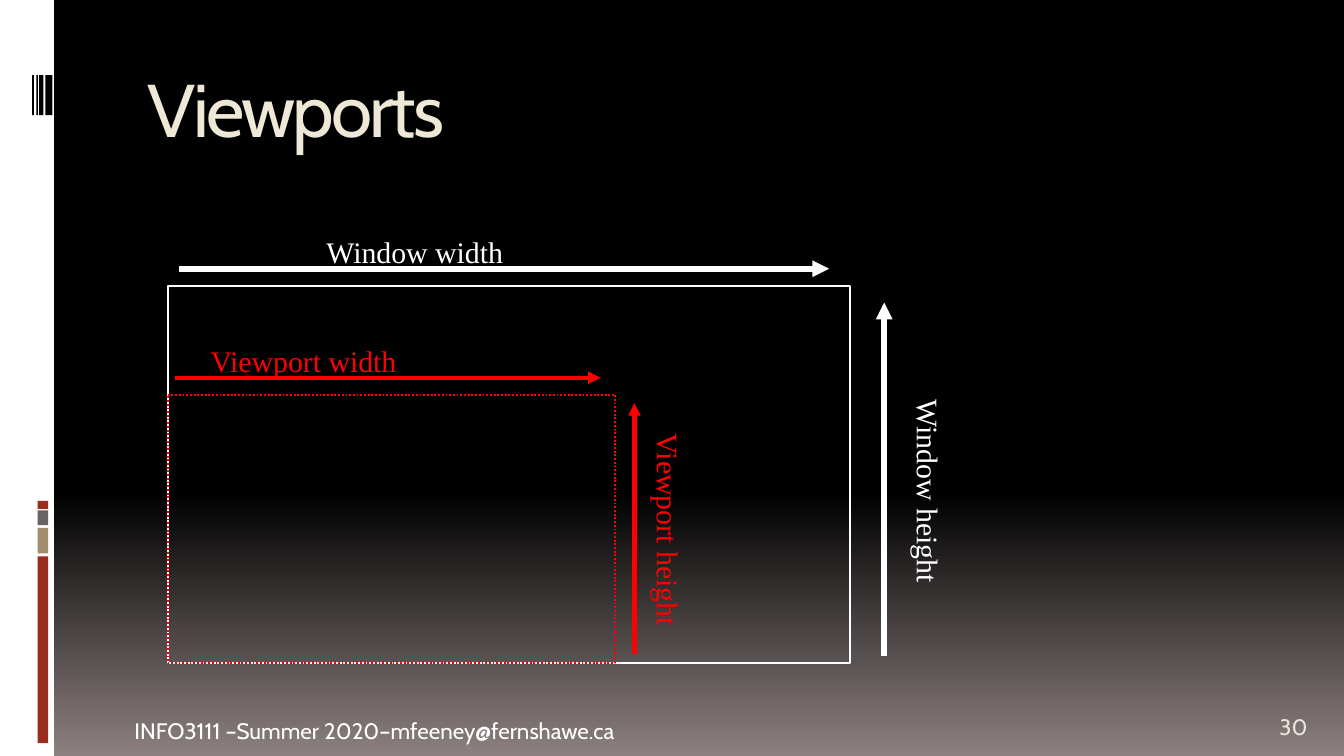
from copy import deepcopy

from pptx import Presentation
from pptx.dml.color import RGBColor
from pptx.enum import dml, shapes, text
from pptx.oxml import ns, xmlchemy
from pptx.util import Cm, Pt

BLACK = RGBColor(0x00, 0x00, 0x00)
WHITE = RGBColor(0xFF, 0xFF, 0xFF)
RED = RGBColor(0xFF, 0x00, 0x00)
TAUPE = RGBColor(0x8C, 0x80, 0x80)
RUST = RGBColor(0x9B, 0x2D, 0x1F)
SAND = RGBColor(0xA2, 0x8E, 0x6A)
GREY = RGBColor(0x69, 0x64, 0x64)
CREAM = RGBColor(0xEF, 0xE8, 0xD6)
PALE = RGBColor(0xE9, 0xE5, 0xDC)

SANS, SERIF = "Cabin", "Times New Roman"
WIDTH, HEIGHT = 25.4, 14.29


def set_attrs(obj, formats):
    for name, value in formats.items():
        setattr(obj, name, value)


def set_background(s):
    fill = s.background.fill
    fill.gradient()
    fill.gradient_angle = 270
    for stop, color in zip(fill.gradient_stops, (BLACK, TAUPE)):
        stop.color.rgb = color
    stops = s.element.find(".//" + ns.qn("a:gsLst"))
    middle = deepcopy(stops[0])
    middle.set("pos", "65000")
    stops.insert(1, middle)


def add_rect(s, box, fill=None, line=None, dash=None):
    sp = s.shapes.add_shape(shapes.MSO_SHAPE.RECTANGLE, *map(Cm, box))
    sp.shadow.inherit = False
    if fill is None:
        sp.fill.background()
    else:
        sp.fill.solid()
        sp.fill.fore_color.rgb = fill
    if line is None:
        sp.line.fill.background()
    else:
        sp.line.color.rgb = line
        set_attrs(sp.line, {"width": Pt(1), "dash_style": dash})


def write(sp, words, font, size, color, **frame):
    tf = sp.text_frame
    set_attrs(tf, frame)
    p = tf.paragraphs[0]
    p.alignment = text.PP_ALIGN.LEFT
    r = p.add_run()
    r.text = words
    set_attrs(r.font, {"name": font, "size": Pt(size)})
    r.font.color.rgb = color
    return r


def add_text(parent, words, box, font, size, color, rotation=0, **frame):
    sp = parent.shapes.add_textbox(*map(Cm, box))
    sp.rotation = rotation
    write(sp, words, font, size, color, **frame)


def add_arrow(parent, start, end, color, width):
    sp = parent.shapes.add_connector(
        shapes.MSO_CONNECTOR.STRAIGHT, *map(Cm, start + end))
    sp.line.color.rgb = color
    sp.line.width = Pt(width)
    line = sp.line._get_or_add_ln()
    line.append(xmlchemy.OxmlElement("a:tailEnd"))
    line[-1].set("type", "triangle")
    line.getparent().append(xmlchemy.OxmlElement("a:effectLst"))


def add_dimensions(s, name, color, width, labels, arrows):
    group = s.shapes.add_group_shape()
    for side, box, rotation in zip(("width", "height"), labels, (0, 90)):
        add_text(group, f"{name} {side}", box, SERIF, 16, color, rotation,
                 word_wrap=False,
                 auto_size=text.MSO_AUTO_SIZE.SHAPE_TO_FIT_TEXT)
    for start, end in arrows:
        add_arrow(group, start, end, color, width)


def add_sidebar(s):
    add_rect(s, (0, 0, 1.02, HEIGHT), WHITE)
    for top, height, color in ((10.52, 3.53, RUST), (9.98, 0.48, SAND),
                               (9.65, 0.28, GREY), (9.47, 0.15, RUST)):
        add_rect(s, (0.71, top, 0.2, height), color)
    for left, width in ((0.86, 0.13), (0.74, 0.08), (0.69, 0.03), (0.61, 0.03)):
        add_rect(s, (left, 1.42, width, 0.76), BLACK)


def add_title(s, words):
    sp = s.shapes.title
    set_attrs(sp, {"left": Cm(2.54), "top": Cm(1.07),
                   "width": Cm(21.59), "height": Cm(1.9)})
    r = write(sp, words, SANS, 40, CREAM, vertical_anchor=text.MSO_ANCHOR.TOP)
    r._r.get_or_add_rPr().set("spc", "-150")


def add_footer(s):
    add_text(s, "INFO3111 –Summer 2020–mfeeney@fernshawe.ca",
             (2.29, 13.44, 20.6, 0.76), SANS, 12, WHITE, word_wrap=True)
    add_text(s, "30", (23.93, 13.36, 1.27, 0.76), SANS, 12, PALE,
             word_wrap=True, vertical_anchor=text.MSO_ANCHOR.BOTTOM)


def main():
    prs = Presentation()
    set_attrs(prs, {"slide_width": Cm(WIDTH), "slide_height": Cm(HEIGHT)})
    s = prs.slides.add_slide(prs.slide_layouts[5])
    set_background(s)
    add_sidebar(s)
    add_footer(s)
    add_title(s, "Viewports")
    add_rect(s, (3.17, 5.4, 12.9, 7.14), line=WHITE)
    add_rect(s, (3.17, 7.46, 8.46, 5.08), line=RED,
             dash=dml.MSO_LINE.ROUND_DOT)
    add_dimensions(s, "Viewport", RED, 2.25,
                   ((3.73, 6.35, 4.06, 0.94), (10.52, 9.58, 4.22, 0.94)),
                   (((3.3, 7.14), (11.35, 7.14)),
                    ((11.99, 12.37), (11.99, 7.62))))
    add_dimensions(s, "Window", WHITE, 3,
                   ((5.92, 4.29, 3.89, 0.94), (15.54, 8.84, 4.01, 0.94)),
                   (((3.38, 5.08), (15.67, 5.08)),
                    ((16.71, 12.4), (16.71, 5.72))))
    prs.save("out.pptx")


if __name__ == "__main__":
    main()
